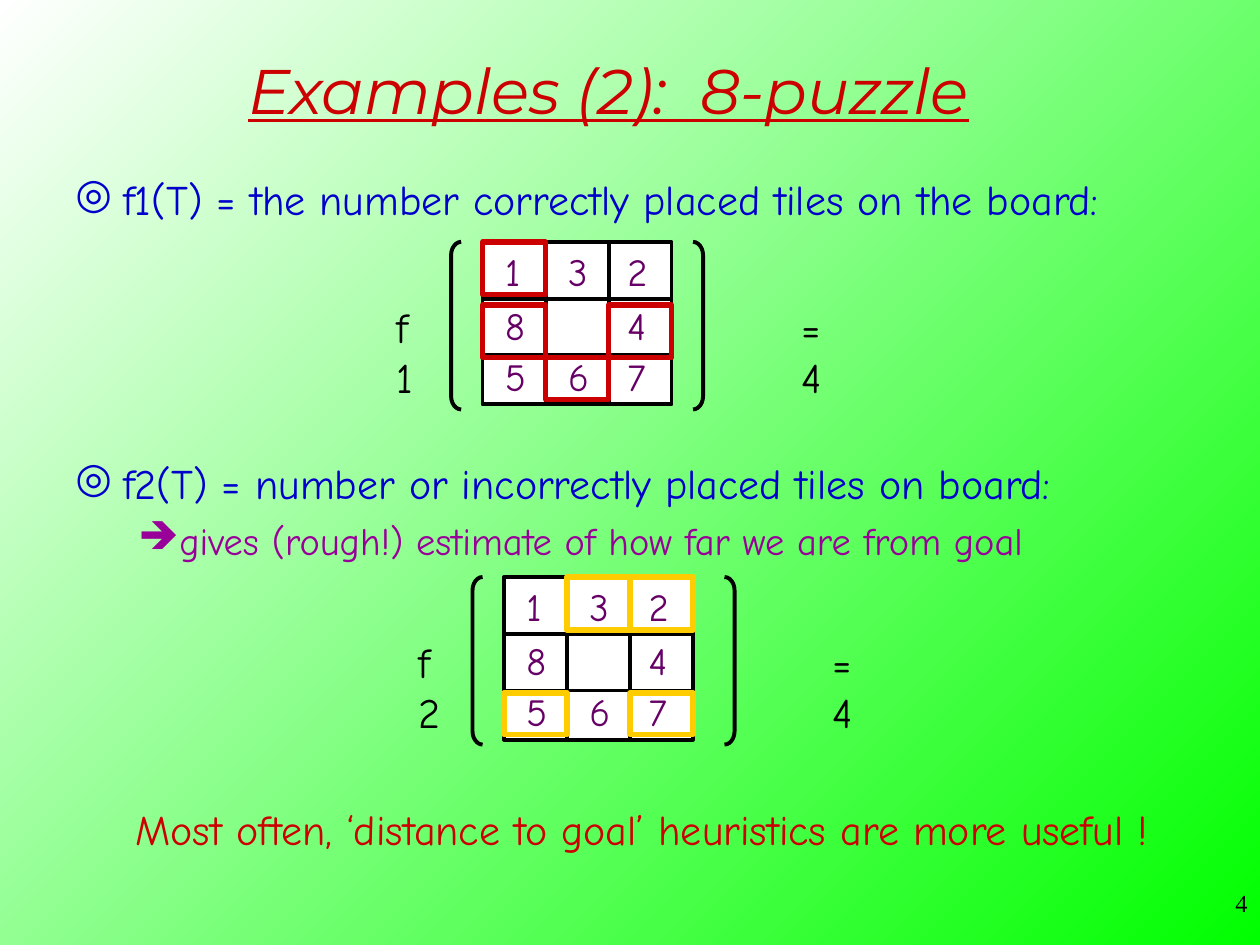
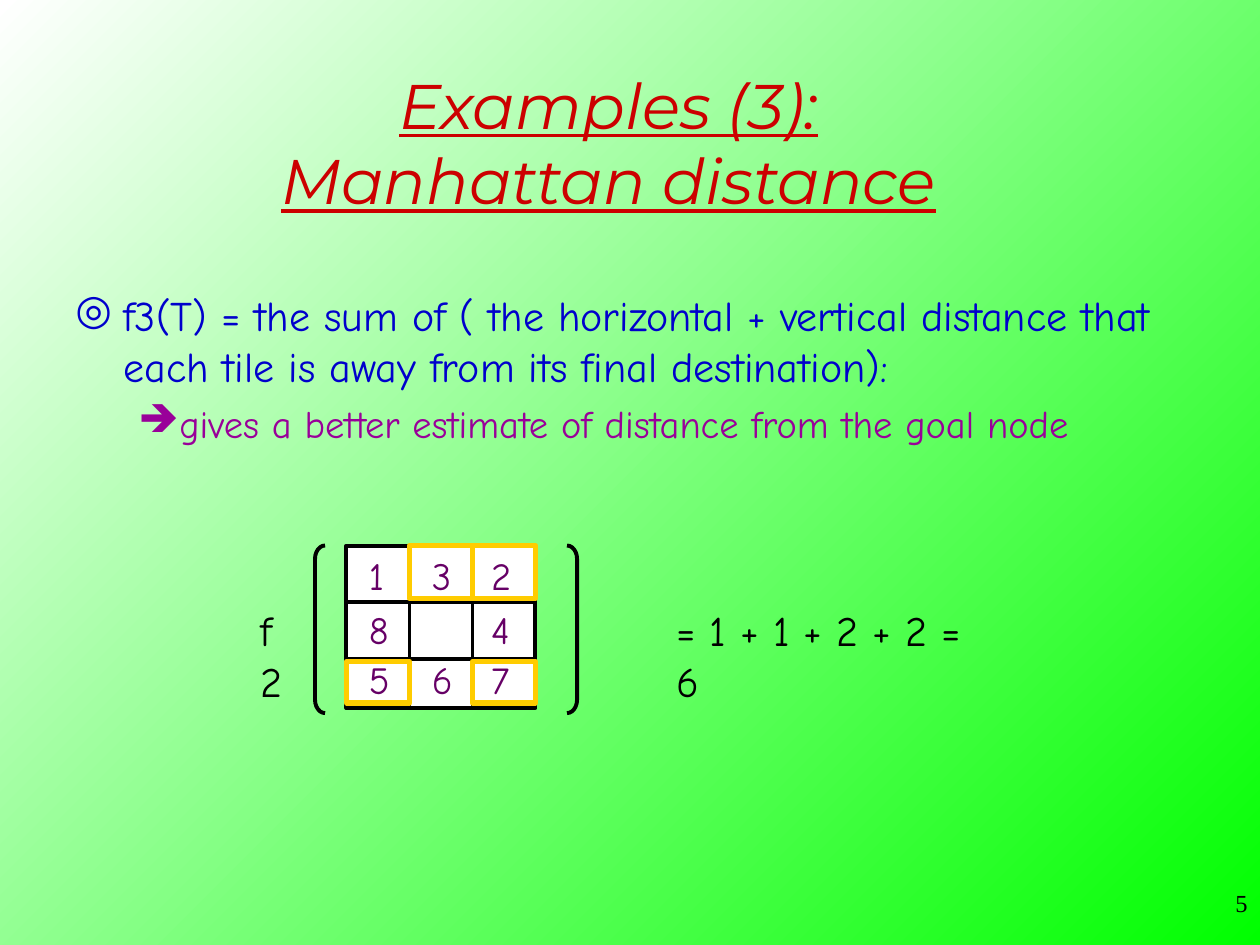
from dataclasses import dataclass

from lxml import etree
from pptx import Presentation
from pptx.dml.color import RGBColor
from pptx.enum.shapes import MSO_CONNECTOR, MSO_SHAPE
from pptx.enum.text import MSO_ANCHOR, MSO_AUTO_SIZE, PP_ALIGN
from pptx.oxml.ns import qn
from pptx.shapes.autoshape import Shape
from pptx.slide import Slide
from pptx.text.text import TextFrame
from pptx.util import Inches, Pt

STRAIGHT = MSO_CONNECTOR.STRAIGHT
RECTANGLE = MSO_SHAPE.RECTANGLE
LEFT_BRACKET = MSO_SHAPE.LEFT_BRACKET
RIGHT_BRACKET = MSO_SHAPE.RIGHT_BRACKET
MIDDLE = MSO_ANCHOR.MIDDLE
FIT_SHAPE = MSO_AUTO_SIZE.SHAPE_TO_FIT_TEXT
LEFT, CENTER, RIGHT = PP_ALIGN.LEFT, PP_ALIGN.CENTER, PP_ALIGN.RIGHT

WHITE = RGBColor(0xFF, 0xFF, 0xFF)
GREEN = RGBColor(0x00, 0xFF, 0x00)
BLACK = RGBColor(0x00, 0x00, 0x00)
RED = RGBColor(0xCC, 0x00, 0x00)
BLUE = RGBColor(0x00, 0x00, 0xCC)
PURPLE = RGBColor(0x99, 0x00, 0x99)
PLUM = RGBColor(0x66, 0x00, 0x66)
YELLOW = RGBColor(0xFF, 0xCC, 0x00)

BODY_FONT = "Comic Neue"
TITLE_FONT = "Montserrat"
NUMBER_FONT = "Times New Roman"

STATE = ("132", "8 4", "567")
GOAL = ("123", "8 4", "765")

BOARD_WIDTH, BOARD_HEIGHT = 1.5, 1.29
TILE_WIDTH, ROW_HEIGHT = 0.5, 0.45
DIGIT_LEFTS = (0.08, 0.58, 1.05)
DIGIT_TOPS = (0, 0.43, 0.83)
FRAME_TOPS = (0, 0.5, 0.92)
FRAME_HEIGHTS = (0.42, 0.42, 0.33)


@dataclass(frozen=True)
class TextStyle:
    size: float
    color: RGBColor
    font: str = BODY_FONT
    slanted: bool = False


@dataclass(frozen=True)
class BulletLevel:
    style: TextStyle
    symbol: str
    margin: float
    hanging: float
    space_before: float


@dataclass(frozen=True)
class Evaluation:
    label: str
    label_width: float
    left: float
    top: float
    bracket_offset: float
    result: str
    result_left: float
    result_width: float
    frames_correct: bool
    frame_color: RGBColor


TITLE = TextStyle(36, RED, TITLE_FONT, True)
NUMBER = TextStyle(14, BLACK, NUMBER_FONT)
FORMULA = TextStyle(24, BLACK)
CONCLUSION = TextStyle(24, RED)
DIGIT = TextStyle(22, PLUM)
DEFINITION = BulletLevel(TextStyle(24, BLUE), "◎", 0.38, 0.38, 6)
REMARK = BulletLevel(TextStyle(22, PURPLE), "➔", 0.81, 0.31, 5.5)


def add_frame(slide: Slide, left: float, top: float, width: float, height: float) -> TextFrame:
    frame = slide.shapes.add_textbox(
        Inches(left), Inches(top), Inches(width), Inches(height)
    ).text_frame
    frame.word_wrap = True
    return frame


def write(frame: TextFrame, text: str, style: TextStyle, align: PP_ALIGN = LEFT) -> None:
    paragraph = frame.paragraphs[0]
    paragraph.alignment = align
    for index, line in enumerate(text.split("\n")):
        if index:
            paragraph.add_line_break()
        add_run(paragraph, line, style)


def add_run(paragraph, text: str, style: TextStyle) -> None:
    run = paragraph.add_run()
    run.text = text
    run.font.size = Pt(style.size)
    run.font.name = style.font
    run.font.color.rgb = style.color
    if style.slanted:
        run.font.italic = run.font.underline = True


def add_label(slide: Slide, left: float, top: float, width: float, height: float,
              text: str, style: TextStyle) -> None:
    frame = add_frame(slide, left, top, width, height)
    frame.word_wrap = False
    frame.auto_size = FIT_SHAPE
    write(frame, text, style)


def add_bullets(slide: Slide, left: float, top: float, width: float, height: float,
                items: list[tuple[BulletLevel, str]]) -> None:
    frame = add_frame(slide, left, top, width, height)
    for index, (level, text) in enumerate(items):
        paragraph = frame.add_paragraph() if index else frame.paragraphs[0]
        paragraph.space_before = Pt(level.space_before)
        add_run(paragraph, text, level.style)
        properties = paragraph._p.get_or_add_pPr()
        properties.set("marL", str(Inches(level.margin)))
        properties.set("indent", str(-Inches(level.hanging)))
        bullet_color = etree.SubElement(properties, qn("a:buClr"))
        etree.SubElement(bullet_color, qn("a:srgbClr"), val=str(level.style.color))
        etree.SubElement(properties, qn("a:buChar"), char=level.symbol)


def add_outline(slide: Slide, kind: MSO_SHAPE, left: float, top: float, width: float,
                height: float, color: RGBColor = BLACK, weight: float = 2.25) -> Shape:
    outline = slide.shapes.add_shape(
        kind, Inches(left), Inches(top), Inches(width), Inches(height)
    )
    outline.shadow.inherit = False
    outline.fill.background()
    outline.line.color.rgb = color
    outline.line.width = Pt(weight)
    return outline


def add_rule(slide: Slide, left: float, top: float, right: float, bottom: float) -> None:
    rule = slide.shapes.add_connector(
        STRAIGHT, Inches(left), Inches(top), Inches(right), Inches(bottom)
    )
    rule.line.color.rgb = BLACK
    rule.line.width = Pt(2.25)
    etree.SubElement(rule._element.spPr, qn("a:effectLst"))


def add_board(slide: Slide, left: float, top: float,
              frames_correct: bool, frame_color: RGBColor) -> None:
    board = add_outline(slide, RECTANGLE, left, top, BOARD_WIDTH, BOARD_HEIGHT)
    board.fill.solid()
    board.fill.fore_color.rgb = WHITE
    for step in (1, 2):
        x, y = left + step * TILE_WIDTH, top + step * ROW_HEIGHT
        add_rule(slide, x, top, x, top + BOARD_HEIGHT)
        add_rule(slide, left, y, left + BOARD_WIDTH, y)
    tiles = [
        (row, column, tile)
        for row, line in enumerate(STATE)
        for column, tile in enumerate(line)
        if tile != " "
    ]
    for row, column, tile in tiles:
        add_label(slide, left + DIGIT_LEFTS[column], top + DIGIT_TOPS[row],
                  0.35, 0.47, tile, DIGIT)
    for row, column, tile in tiles:
        if (tile == GOAL[row][column]) == frames_correct:
            add_outline(slide, RECTANGLE, left + column * TILE_WIDTH, top + FRAME_TOPS[row],
                        TILE_WIDTH, FRAME_HEIGHTS[row], frame_color, 3)


def add_evaluation(slide: Slide, item: Evaluation) -> None:
    add_label(slide, item.left - 0.78, item.top + 0.42, item.label_width, 0.5,
              item.label, FORMULA)
    for kind, offset in ((LEFT_BRACKET, -0.25), (RIGHT_BRACKET, item.bracket_offset)):
        bracket = add_outline(slide, kind, item.left + offset, item.top, 0.08, 1.33)
        bracket.adjustments[0] = 1.33
    add_board(slide, item.left, item.top, item.frames_correct, item.frame_color)
    add_label(slide, item.result_left, item.top + 0.42, item.result_width, 0.5,
              item.result, FORMULA)


def add_base_slide(deck, title: str, title_top: float, number: int) -> Slide:
    slide = deck.slides.add_slide(deck.slide_layouts[6])
    backdrop = slide.background.fill
    backdrop.gradient()
    backdrop.gradient_angle = 315
    for stop, color in zip(backdrop.gradient_stops, (WHITE, GREEN)):
        stop.color.rgb = color
    write(add_frame(slide, 7.92, 7, 2.08, 0.5), str(number), NUMBER, RIGHT)
    heading = add_frame(slide, 0.58, title_top, 8.5, 1.25)
    heading.vertical_anchor = MIDDLE
    write(heading, title, TITLE, CENTER)
    return slide


def build_puzzle_slide(deck) -> None:
    slide = add_base_slide(deck, "Examples (2):  8-puzzle", 0.08, 4)
    add_bullets(slide, 0.5, 1.33, 8.83, 1, [
        (DEFINITION, "f1(T) = the number correctly placed tiles on the board:"),
    ])
    add_evaluation(slide, Evaluation(
        "f1", 0.42, 3.83, 1.92, 1.67, "= 4", 6.26, 0.62, True, RED))
    add_bullets(slide, 0.5, 3.58, 8.83, 1, [
        (DEFINITION, "f2(T) = number or incorrectly placed tiles on board:"),
        (REMARK, "gives (rough!) estimate of how far we are from goal"),
    ])
    add_evaluation(slide, Evaluation(
        "f2", 0.46, 4, 4.58, 1.75, "= 4", 6.51, 0.62, False, YELLOW))
    add_label(slide, 0.98, 6.33, 8.27, 0.5,
              "Most often, ‘distance to goal’ heuristics are more useful !", CONCLUSION)


def build_manhattan_slide(deck) -> None:
    slide = add_base_slide(deck, "Examples (3):\nManhattan distance", 0.5, 5)
    add_bullets(slide, 0.5, 2.25, 8.92, 5.25, [
        (DEFINITION, "f3(T) = the sum of ( the horizontal + vertical distance that "
                     "each tile is away from its final destination):"),
        (REMARK, "gives a better estimate of distance from the goal node"),
    ])
    add_evaluation(slide, Evaluation(
        "f2", 0.46, 2.75, 4.33, 1.75, "= 1 + 1 + 2 + 2 = 6", 5.27, 2.74, False, YELLOW))


def main() -> None:
    deck = Presentation()
    deck.slide_width = Inches(10)
    deck.slide_height = Inches(7.5)
    build_puzzle_slide(deck)
    build_manhattan_slide(deck)
    deck.save("out.pptx")


if __name__ == "__main__":
    main()
